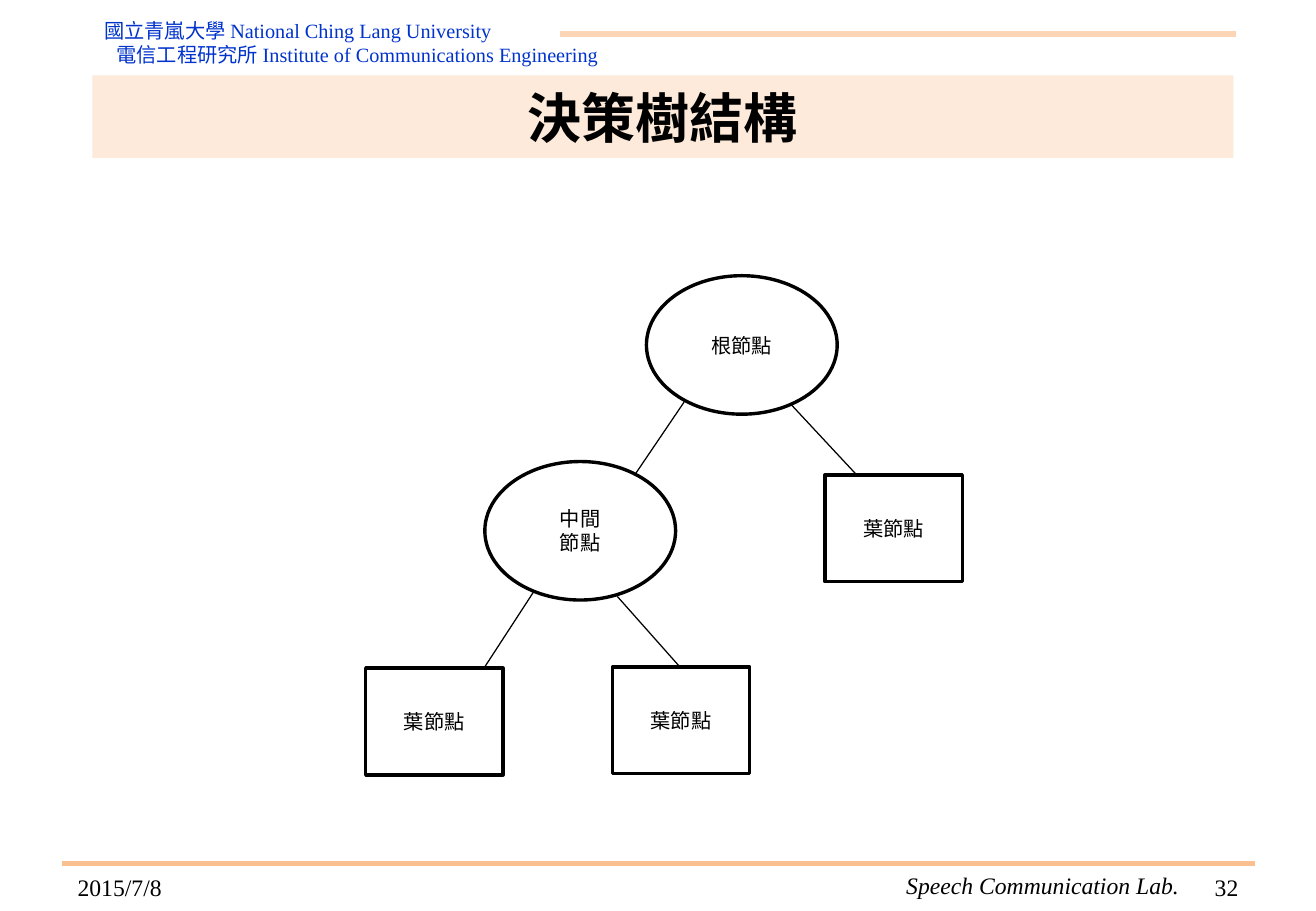
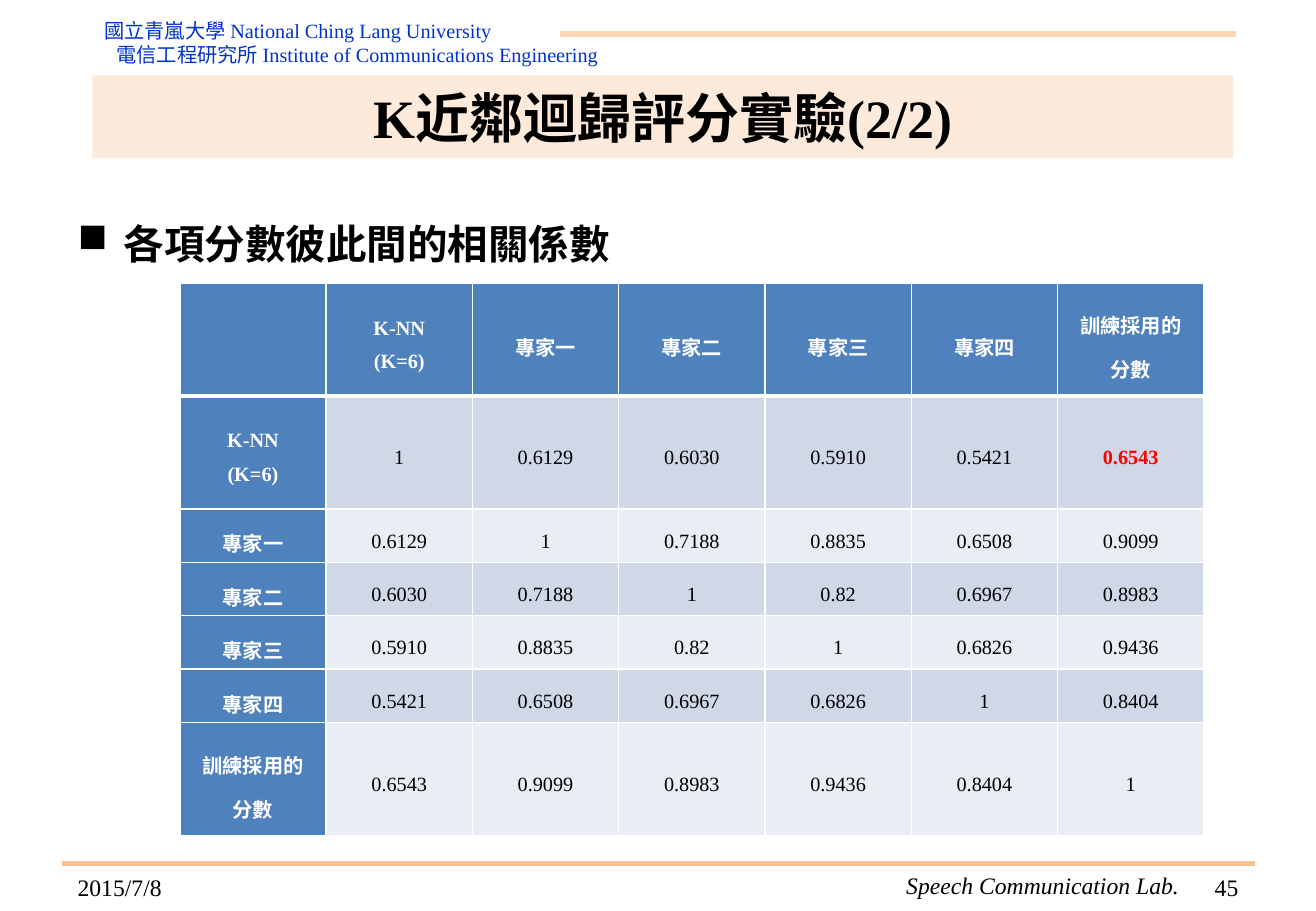
"""Build two lecture slides: a decision tree and a correlation table."""
from lxml import etree
from pptx import Presentation
from pptx import util as u
from pptx.dml.color import RGBColor
from pptx.enum import shapes, text
from pptx.oxml.ns import qn

BLACK, WHITE, RED, BLUE = "000000", "FFFFFF", "FF0000", "0033CC"
TITLE_BAND, TOP_RULE, FOOT_RULE = "FDEADA", "FCD5B5", "FAC090"
HEADER, BAND_DARK, BAND_LIGHT = "4F81BD", "D0D8E8", "E9EDF4"
SERIF, SANS = "Times New Roman", "Calibri"
LEFT, CENTER, RIGHT = text.PP_ALIGN.LEFT, text.PP_ALIGN.CENTER, text.PP_ALIGN.RIGHT
TOP, MIDDLE = text.MSO_ANCHOR.TOP, text.MSO_ANCHOR.MIDDLE

EXPERTS = ["專家一", "專家二", "專家三", "專家四"]
LABELS = ["K-NN\n(K=6)", *EXPERTS, "訓練採用的\n分數"]
CORRELATIONS = [
    ["1", "0.6129", "0.6030", "0.5910", "0.5421", "0.6543"],
    ["0.6129", "1", "0.7188", "0.8835", "0.6508", "0.9099"],
    ["0.6030", "0.7188", "1", "0.82", "0.6967", "0.8983"],
    ["0.5910", "0.8835", "0.82", "1", "0.6826", "0.9436"],
    ["0.5421", "0.6508", "0.6967", "0.6826", "1", "0.8404"],
    ["0.6543", "0.9099", "0.8983", "0.9436", "0.8404", "1"],
]


def color(value):
    """Turn a hex string into a colour."""
    return RGBColor.from_string(value)


def place(box):
    """Turn a box or point in inches into lengths."""
    return [u.Inches(length) for length in box]


def write(frame, words, size, ink=BLACK, align=LEFT, font=SERIF,
          bold=False, italic=False, spacing=None):
    """Write one paragraph per line of words in one style."""
    for index, line in enumerate(words.split("\n")):
        para = frame.add_paragraph() if index else frame.paragraphs[0]
        para.text = line
        para.alignment = align
        para.line_spacing = spacing
        para.font.name = font
        para.font.size = u.Pt(size)
        para.font.bold = bold
        para.font.italic = italic
        para.font.color.rgb = color(ink)


def add_label(page, box, words, size, anchor=TOP, **style):
    """Add a wrapped text box and return its frame."""
    frame = page.shapes.add_textbox(*place(box)).text_frame
    frame.word_wrap = True
    frame.vertical_anchor = anchor
    write(frame, words, size, **style)
    return frame


def add_block(page, kind, box, words, size, fill=WHITE, outline=None, **style):
    """Add a filled shape with centred text."""
    block = page.shapes.add_shape(kind, *place(box))
    block.shadow.inherit = False
    block.fill.solid()
    block.fill.fore_color.rgb = color(fill)
    if outline:
        block.line.color.rgb = color(outline)
        block.line.width = u.Pt(2)
    else:
        block.line.fill.background()
    block.text_frame.word_wrap = True
    block.text_frame.vertical_anchor = MIDDLE
    write(block.text_frame, words, size, align=CENTER, **style)


def add_line(page, start, end, ink, width):
    """Add a straight line without a shadow."""
    line = page.shapes.add_connector(
        shapes.MSO_CONNECTOR.STRAIGHT, *place(start), *place(end))
    line.line.color.rgb = color(ink)
    line.line.width = u.Pt(width)
    etree.SubElement(line._element.spPr, qn("a:effectLst"))


def add_page(deck, title, number):
    """Add a page with the shared header, title band and footer."""
    page = deck.slides.add_slide(deck.slide_layouts[6])
    add_line(page, (4.61, 0.28), (10.17, 0.28), TOP_RULE, 3)
    add_label(page, (0.76, 0.1, 4.23, 0.55),
              "國立青嵐大學 National Ching Lang University", 12, ink=BLUE)
    add_label(page, (0.86, 0.3, 4.87, 0.55),
              "電信工程研究所 Institute of Communications Engineering", 12, ink=BLUE)
    add_line(page, (0.51, 7.11), (10.33, 7.11), FOOT_RULE, 3)
    add_label(page, (7.36, 7.12, 3.3, 0.34), "Speech Communication Lab.", 14, italic=True)
    add_label(page, (0.54, 7.1, 2.53, 0.4), "2015/7/8", 14, MIDDLE)
    add_label(page, (7.76, 7.1, 2.53, 0.4), number, 14, MIDDLE, align=RIGHT)
    add_block(page, shapes.MSO_SHAPE.RECTANGLE, (0.76, 0.62, 9.39, 0.68),
              title, 32, fill=TITLE_BAND, bold=True)
    return page


def add_tree(page, left, top):
    """Draw the decision tree from its top left corner."""
    edges = [
        (2.62, 1.04, 2.2, 1.66), (3.5, 1.06, 4.04, 1.64),
        (1.39, 2.59, 0.98, 3.22), (2.07, 2.64, 2.62, 3.26),
    ]
    for x1, y1, x2, y2 in edges:
        add_line(page, (left + x1, top + y1), (left + x2, top + y2), BLACK, 0.75)
    branch = (shapes.MSO_SHAPE.OVAL, 1.57, 1.14)
    leaf = (shapes.MSO_SHAPE.RECTANGLE, 1.13, 0.88)
    nodes = [
        (branch, 2.31, 0, "根節點"), (branch, 0.98, 1.53, "中間\n節點"),
        (leaf, 3.78, 1.64, "葉節點"), (leaf, 0, 3.23, "葉節點"),
        (leaf, 2.03, 3.22, "葉節點"),
    ]
    for (kind, width, height), x, y, words in nodes:
        add_block(page, kind, (left + x, top + y, width, height), words, 12,
                  outline=BLACK, font=SANS)


def add_bullet(page, box, words):
    """Add a bold line with a square bullet and a hanging indent."""
    frame = add_label(page, box, words, 24, bold=True)
    props = frame.paragraphs[0]._p.get_or_add_pPr()
    indent = u.Inches(0.38)
    props.set("marL", str(indent))
    props.set("indent", str(-indent))
    etree.SubElement(props, qn("a:buChar")).set("char", "■")


def set_borders(cell, top, bottom):
    """Give a cell white borders, with top and bottom widths in points."""
    props = cell._tc.get_or_add_tcPr()
    for side, width in (("L", 1), ("R", 1), ("T", top), ("B", bottom)):
        border = etree.SubElement(props, qn(f"a:ln{side}"), w=str(u.Pt(width)))
        fill = etree.SubElement(border, qn("a:solidFill"))
        etree.SubElement(fill, qn("a:srgbClr"), val=WHITE)


def fill_cell(cell, row, column, words):
    """Style one table cell by its position and write its words."""
    heading = row == 0 or column == 0
    strongest = (row, column) == (1, len(LABELS))
    set_borders(cell, 3 if row == 1 else 1, 3 if row == 0 else 1)
    cell.fill.solid()
    band = BAND_DARK if row % 2 else BAND_LIGHT
    cell.fill.fore_color.rgb = color(HEADER if heading else band)
    cell.margin_left = cell.margin_right = u.Inches(0.07)
    cell.margin_top = cell.margin_bottom = 0
    cell.vertical_anchor = MIDDLE
    ink = WHITE if heading else RED if strongest else BLACK
    write(cell.text_frame, words, 12, ink=ink, align=CENTER,
          bold=heading or strongest, spacing=1.5)


def add_correlations(page, box):
    """Add the table of correlations between scores."""
    rows = [["", *LABELS]]
    rows += [[label, *values] for label, values in zip(LABELS, CORRELATIONS)]
    count = len(rows)
    table = page.shapes.add_table(count, count, *place(box)).table
    for column in table.columns:
        column.width = u.Inches(box[2] / count)
    for row, values in enumerate(rows):
        tall = row == 0 or "\n" in values[0]
        table.rows[row].height = u.Inches(0.93 if tall else 0.44)
        for column, words in enumerate(values):
            fill_cell(table.cell(row, column), row, column, words)


def main():
    """Build and save the deck."""
    deck = Presentation()
    deck.slide_width, deck.slide_height = place((10.83, 7.5))
    add_tree(add_page(deck, "決策樹結構", "32"), 3.01, 2.27)
    scores = add_page(deck, "K近鄰迴歸評分實驗(2/2)", "45")
    add_bullet(scores, (0.54, 1.75, 9.75, 0.58), "各項分數彼此間的相關係數")
    add_correlations(scores, (1.48, 2.33, 8.43, 4.57))
    deck.save("out.pptx")


if __name__ == "__main__":
    main()
